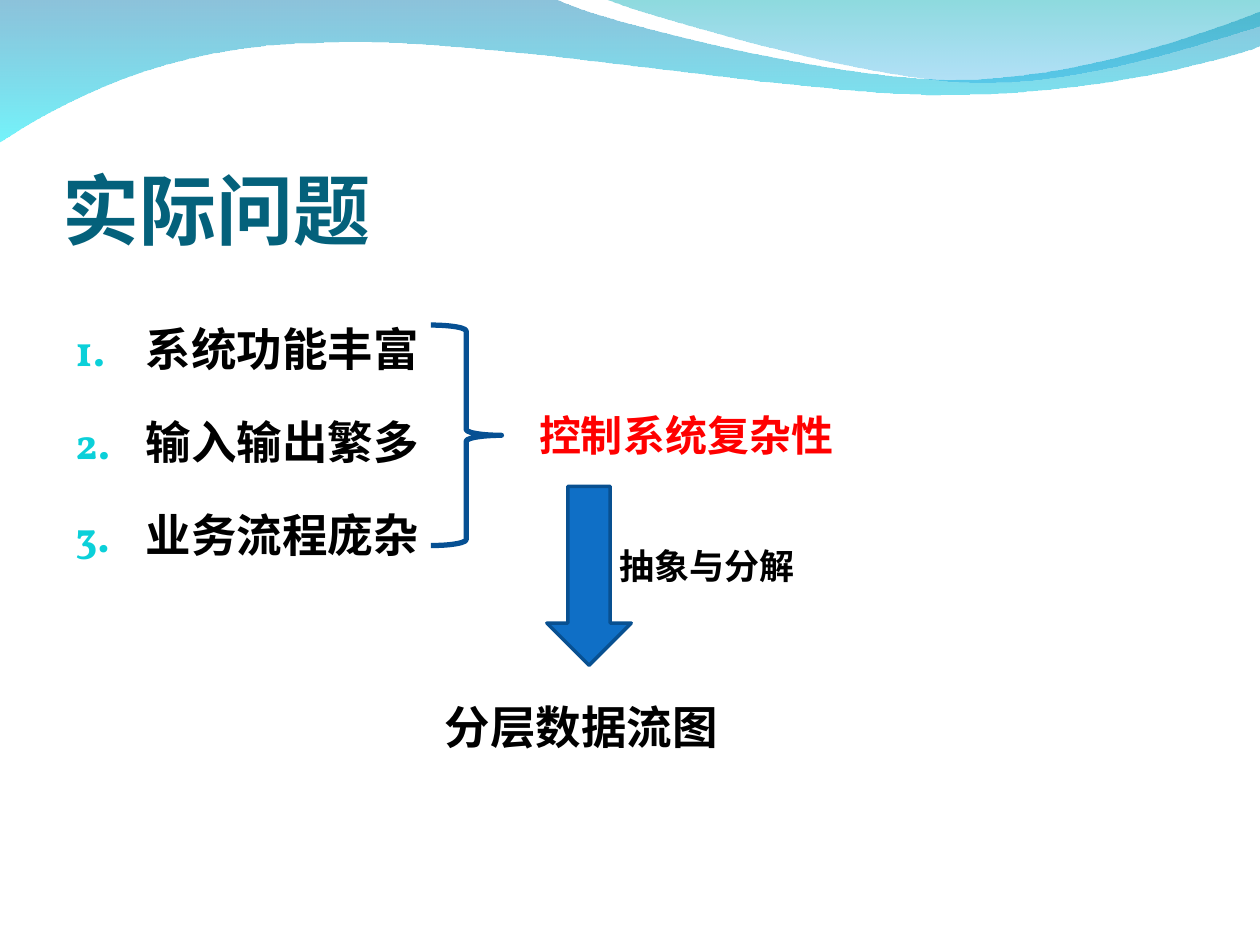
from lxml import etree
from pptx import Presentation
from pptx.dml.color import RGBColor
from pptx.enum.shapes import MSO_SHAPE
from pptx.enum.text import MSO_ANCHOR
from pptx.oxml.ns import qn
from pptx.util import Inches, Pt

ANCHOR_TOP = MSO_ANCHOR.TOP
ANCHOR_BOTTOM = MSO_ANCHOR.BOTTOM
DOWN_ARROW = MSO_SHAPE.DOWN_ARROW
RIGHT_BRACE = MSO_SHAPE.RIGHT_BRACE

COLORS = {
    "title": "04617B", "text": "000000", "accent": "FF0000", "number": "0BD0D9",
    "arrow": "0F6FC6", "arrow_line": "085091", "brace": "065093",
    "wave_blue": "0079AF", "wave_cyan": "00EBF8",
    "wave_teal": "00ADB6", "wave_sky": "009BE5",
}
SANS = "Noto Sans CJK SC"
SERIF = "Vollkorn"


def color(name):
    return RGBColor.from_string(COLORS[name])


def add_child(parent, tag, **attributes):
    return etree.SubElement(parent, qn(tag), attributes)


def write_text(paragraph, text, size=26, font=SERIF, latin_font=None, fill="text"):
    run = paragraph.add_run()
    run.text = text
    run.font.size = Pt(size)
    run.font.bold = True
    run.font.name = latin_font or font
    run.font.color.rgb = color(fill)
    add_child(run.font._element, "a:ea", typeface=font)


class SlideBuilder:
    def __init__(self, slide):
        self.slide = slide

    def wave(self, start, segments, stops):
        points = [tuple(map(Inches, point)) for segment in segments for point in segment]
        builder = self.slide.shapes.build_freeform(*map(Inches, start), scale=1.0)
        builder.add_line_segments(points, close=True)
        shape = builder.convert_to_shape()
        lines = iter(list(shape._element.spPr.iter(qn("a:lnTo"))))
        for segment in segments:
            parts = [next(lines) for _ in segment]
            if len(parts) == 3:
                curve = etree.Element(qn("a:cubicBezTo"))
                parts[0].addprevious(curve)
                for part in parts:
                    curve.append(part[0])
                    part.getparent().remove(part)
        shape.shadow.inherit = False
        shape.line.fill.background()
        shape.fill.gradient()
        shape.fill.gradient_angle = 270
        for stop, (position, name, _) in zip(shape.fill.gradient_stops, stops):
            stop.position = position
            stop.color.rgb = color(name)
        for element, (_, _, opacity) in zip(shape._element.spPr.iter(qn("a:srgbClr")), stops):
            add_child(element, "a:alpha", val=str(opacity * 1000))

    def text_box(self, left, top, width, height, wrap=False, anchor=ANCHOR_TOP):
        box = self.slide.shapes.add_textbox(
            Inches(left), Inches(top), Inches(width), Inches(height))
        frame = box.text_frame
        frame.word_wrap = wrap
        frame.vertical_anchor = anchor
        return frame

    def label(self, text, *place, **style):
        write_text(self.text_box(*place).paragraphs[0], text, **style)

    def title(self, text, *place):
        frame = self.text_box(*place, wrap=True, anchor=ANCHOR_BOTTOM)
        frame.margin_left = frame.margin_right = frame.margin_bottom = 0
        write_text(frame.paragraphs[0], text, size=44, font=SANS, fill="title")

    def numbered_list(self, items, *place):
        frame = self.text_box(*place, wrap=True)
        for index, item in enumerate(items):
            paragraph = frame.add_paragraph() if index else frame.paragraphs[0]
            paragraph.line_spacing = 1.5
            paragraph.space_before = Pt(6.5)
            properties = paragraph._p.get_or_add_pPr()
            properties.set("marL", str(Inches(0.56)))
            properties.set("indent", str(Inches(-0.56)))
            bullet_color = add_child(properties, "a:buClr")
            add_child(bullet_color, "a:srgbClr", val=COLORS["number"])
            add_child(properties, "a:buSzPct", val="95000")
            add_child(properties, "a:buFont", typeface=SANS)
            add_child(properties, "a:buAutoNum", type="arabicPeriod")
            write_text(paragraph, item, latin_font=SANS)

    def preset(self, kind, left, top, width, height, line, line_width, fill=None):
        shape = self.slide.shapes.add_shape(
            kind, Inches(left), Inches(top), Inches(width), Inches(height))
        shape.shadow.inherit = False
        shape.line.color.rgb = color(line)
        shape.line.width = Pt(line_width)
        if fill:
            shape.fill.solid()
            shape.fill.fore_color.rgb = color(fill)
        else:
            shape.fill.background()


def main():
    presentation = Presentation()
    presentation.slide_width = Inches(10)
    presentation.slide_height = Inches(7.5)
    builder = SlideBuilder(presentation.slides.add_slide(presentation.slide_layouts[6]))

    left_wave = [
        [(4.4, -0.01)],
        [(4.76, 0.17), (6.64, 0.63), (7.58, 0.63)],
        [(8.53, 0.63), (9.58, 0.26), (10, 0.09)],
        [(10.01, 0.36)],
        [(9.83, 0.44), (8.7, 0.76), (7.46, 0.75)],
        [(6.22, 0.75), (3.82, 0.28), (2.57, 0.34)],
        [(1.29, 0.35), (0.46, 0.83), (-0.01, 1.13)],
    ]
    right_wave = [
        [(5.09, 0.11), (6.82, 0.62), (7.69, 0.65)],
        [(8.56, 0.69), (9.61, 0.32), (10, 0.21)],
        [(10, 0)],
    ]
    builder.wave((0, -0.01), left_wave, [(0, "wave_blue", 45), (1, "wave_cyan", 55)])
    builder.wave((4.79, -0.01), right_wave, [(0, "wave_teal", 45), (1, "wave_sky", 30)])

    builder.title("实际问题", 0.5, 0.77, 9, 1.25)
    builder.numbered_list(
        ["系统功能丰富", "输入输出繁多", "业务流程庞杂"], 0.5, 2.28, 9.42, 4.8)
    builder.preset(DOWN_ARROW, 4.34, 3.86, 0.67, 1.42, "arrow_line", 2, fill="arrow")
    builder.label("分层数据流图", 3.43, 5.5, 2.37, 0.54)
    builder.label("控制系统复杂性", 4.18, 3.2, 2.53, 0.5, size=24, font=SANS, fill="accent")
    builder.preset(RIGHT_BRACE, 3.42, 2.58, 0.56, 1.75, "brace", 3)
    builder.label("抽象与分解", 4.82, 4.27, 1.65, 0.44, size=20, font="Arial")
    presentation.save("out.pptx")


if __name__ == "__main__":
    main()
